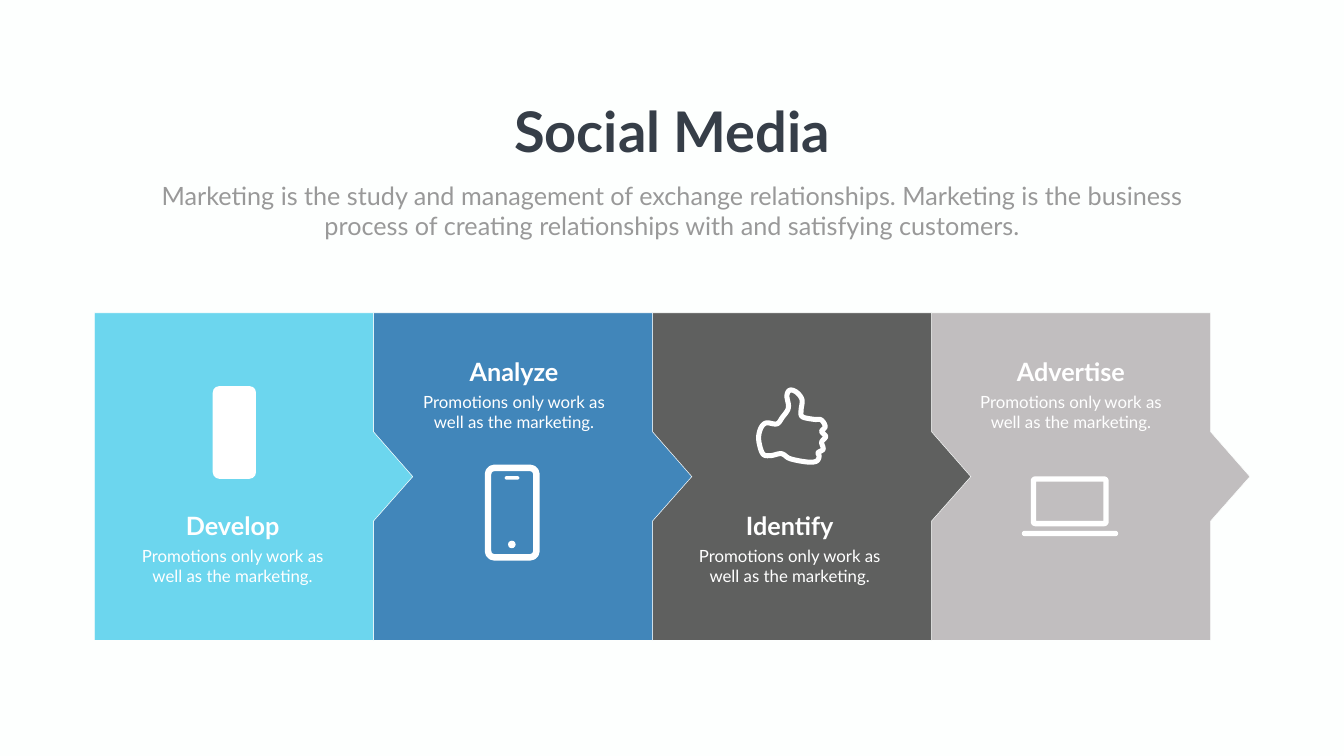
from dataclasses import dataclass
from typing import Optional

from pptx import Presentation
from pptx.dml.color import RGBColor
from pptx.enum.shapes import MSO_SHAPE
from pptx.enum.text import MSO_ANCHOR, PP_ALIGN
from pptx.util import Cm, Pt

ROUNDED, OVAL = MSO_SHAPE.ROUNDED_RECTANGLE, MSO_SHAPE.OVAL
CENTER, TOP = PP_ALIGN.CENTER, MSO_ANCHOR.TOP
FONT = "Lato"
COLORS = {
    "paper": "FDFFFE", "white": "FFFFFF", "title": "363E48", "subtitle": "999999",
    "cyan": "6CD6EE", "blue": "4186BA", "dark": "5F605F", "light": "C1BEBF",
}
PANEL_LEFT, PANEL_TOP, PANEL_PITCH = 4.75, 15.77, 14.06
PANEL_OUTLINE = [(0, 0), (14.07, 0), (14.07, 5.99), (16.05, 8.25),
                 (14.07, 10.49), (14.07, 16.51), (0, 16.51)]
HIGH, LOW = 17.83, 25.58
DESCRIPTION = "Promotions only work as well as the marketing."
THUMB_LEFT, THUMB_TOP, THUMB_UNIT = 38.1, 19.51, 0.0254
THUMB_KNOTS = [
    (61, 17), (64, 41), (52, 60), (41, 73), (20, 71), (9, 82), (5, 104),
    (13, 132), (28, 136), (50, 132), (65, 141), (84, 146), (108, 149),
    (121, 146), (125, 137), (123, 130), (133, 123), (130, 109), (138, 98),
    (130, 88), (137, 78), (129, 65), (115, 64), (92, 59), (89, 47),
    (91, 25), (80, 10), (67, 6),
]


@dataclass
class Step:
    title: str
    color: str
    center: float
    top: float


@dataclass
class IconPart:
    kind: MSO_SHAPE
    left: float
    top: float
    width: float
    height: float
    radius: Optional[float] = None
    stroke: Optional[float] = None


STEPS = [
    Step("Develop", "cyan", 11.72, LOW),
    Step("Analyze", "blue", 25.9, HIGH),
    Step("Identify", "dark", 39.79, LOW),
    Step("Advertise", "light", 53.96, HIGH),
]
ICON_PARTS = [
    IconPart(ROUNDED, 10.72, 19.46, 2.18, 4.67, radius=0.15),
    IconPart(ROUNDED, 24.59, 23.58, 2.44, 4.51, radius=0.13, stroke=9.2),
    IconPart(OVAL, 25.6, 27.25, 0.38, 0.38),
    IconPart(ROUNDED, 25.43, 24.0, 0.74, 0.17, radius=0.5),
    IconPart(ROUNDED, 52.07, 24.14, 3.66, 2.25, radius=0.04, stroke=7.5),
    IconPart(ROUNDED, 51.49, 26.75, 4.85, 0.27, radius=0.5),
]


def rgb(name: str) -> RGBColor:
    return RGBColor.from_string(COLORS[name])


def style(sp, fill: Optional[str] = None, line: Optional[str] = None, weight: float = 0) -> None:
    sp.shadow.inherit = False
    if fill:
        sp.fill.solid()
        sp.fill.fore_color.rgb = rgb(fill)
    else:
        sp.fill.background()
    if line:
        sp.line.color.rgb = rgb(line)
        sp.line.width = Pt(weight)
    else:
        sp.line.fill.background()


def add_text(s, text: str, *, left: float, top: float, width: float, height: float,
             size: float, color: str, bold: bool = False, wrap: bool = True) -> None:
    tf = s.shapes.add_textbox(Cm(left), Cm(top), Cm(width), Cm(height)).text_frame
    tf.word_wrap = wrap
    tf.vertical_anchor = TOP
    p = tf.paragraphs[0]
    p.alignment = CENTER
    r = p.add_run()
    r.text = text
    r.font.name, r.font.size, r.font.bold = FONT, Pt(size), bold
    r.font.color.rgb = rgb(color)


def add_outline(s, points: list[tuple[float, float]], left: float, top: float):
    first, *rest = [(Cm(left + x), Cm(top + y)) for x, y in points]
    builder = s.shapes.build_freeform(*first)
    builder.add_line_segments(rest, close=True)
    return builder.convert_to_shape()


def smooth_loop(knots: list[tuple[float, float]], steps: int = 6) -> list[tuple[float, float]]:
    points = []
    for i in range(len(knots)):
        around = [knots[(i + k) % len(knots)] for k in (-1, 0, 1, 2)]
        for t in (n / steps for n in range(steps)):
            points.append(tuple(
                b + t * (c - a) / 2 + t * t * (2 * a - 5 * b + 4 * c - d) / 2
                + t ** 3 * (3 * b - a - 3 * c + d) / 2
                for a, b, c, d in zip(*around)))
    return points


def add_icon_part(s, part: IconPart) -> None:
    sp = s.shapes.add_shape(part.kind, Cm(part.left), Cm(part.top), Cm(part.width), Cm(part.height))
    if part.radius is not None:
        sp.adjustments[0] = part.radius
    if part.stroke:
        style(sp, line="white", weight=part.stroke)
    else:
        style(sp, fill="white")


def add_thumb(s) -> None:
    points = [(x * THUMB_UNIT, y * THUMB_UNIT) for x, y in smooth_loop(THUMB_KNOTS)]
    style(add_outline(s, points, THUMB_LEFT, THUMB_TOP), line="white", weight=7.2)


def add_step_text(s, step: Step) -> None:
    add_text(s, step.title, left=step.center - 3.31, top=step.top, width=6.62, height=1.8,
             size=36, color="white", bold=True)
    add_text(s, DESCRIPTION, left=step.center - 5.1, top=step.top + 1.79, width=10.2,
             height=2.31, size=24, color="white")


def main() -> None:
    """Build the four-step social media slide."""
    prs = Presentation()
    prs.slide_width, prs.slide_height = Cm(67.72), Cm(38.1)
    s = prs.slides.add_slide(prs.slide_layouts[6])
    s.background.fill.solid()
    s.background.fill.fore_color.rgb = rgb("paper")
    for i, step in reversed(list(enumerate(STEPS))):
        panel = add_outline(s, PANEL_OUTLINE, PANEL_LEFT + i * PANEL_PITCH, PANEL_TOP)
        style(panel, fill=step.color, line="paper", weight=0.75)
    for part in ICON_PARTS:
        add_icon_part(s, part)
    add_thumb(s)
    add_text(s, "Social Media", left=25.48, top=4.72, width=16.79, height=3.68,
             size=80, color="title", bold=True, wrap=False)
    add_text(s, "Marketing is the study and management of exchange relationships. "
             "Marketing is the business process of creating relationships with "
             "and satisfying customers.",
             left=6.81, top=8.94, width=54.1, height=3.33, size=36, color="subtitle")
    for step in STEPS:
        add_step_text(s, step)
    prs.save("out.pptx")


if __name__ == "__main__":
    main()
